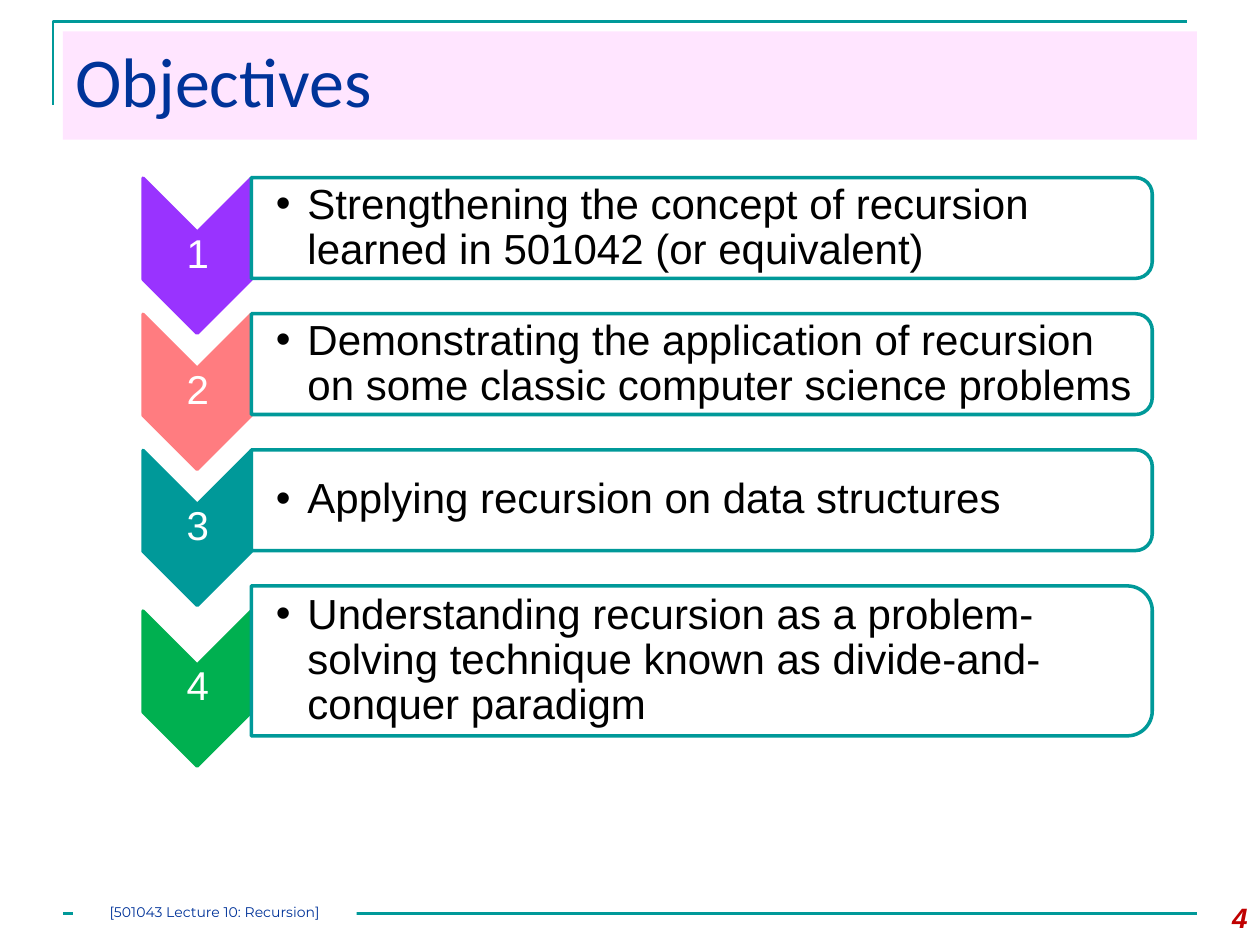
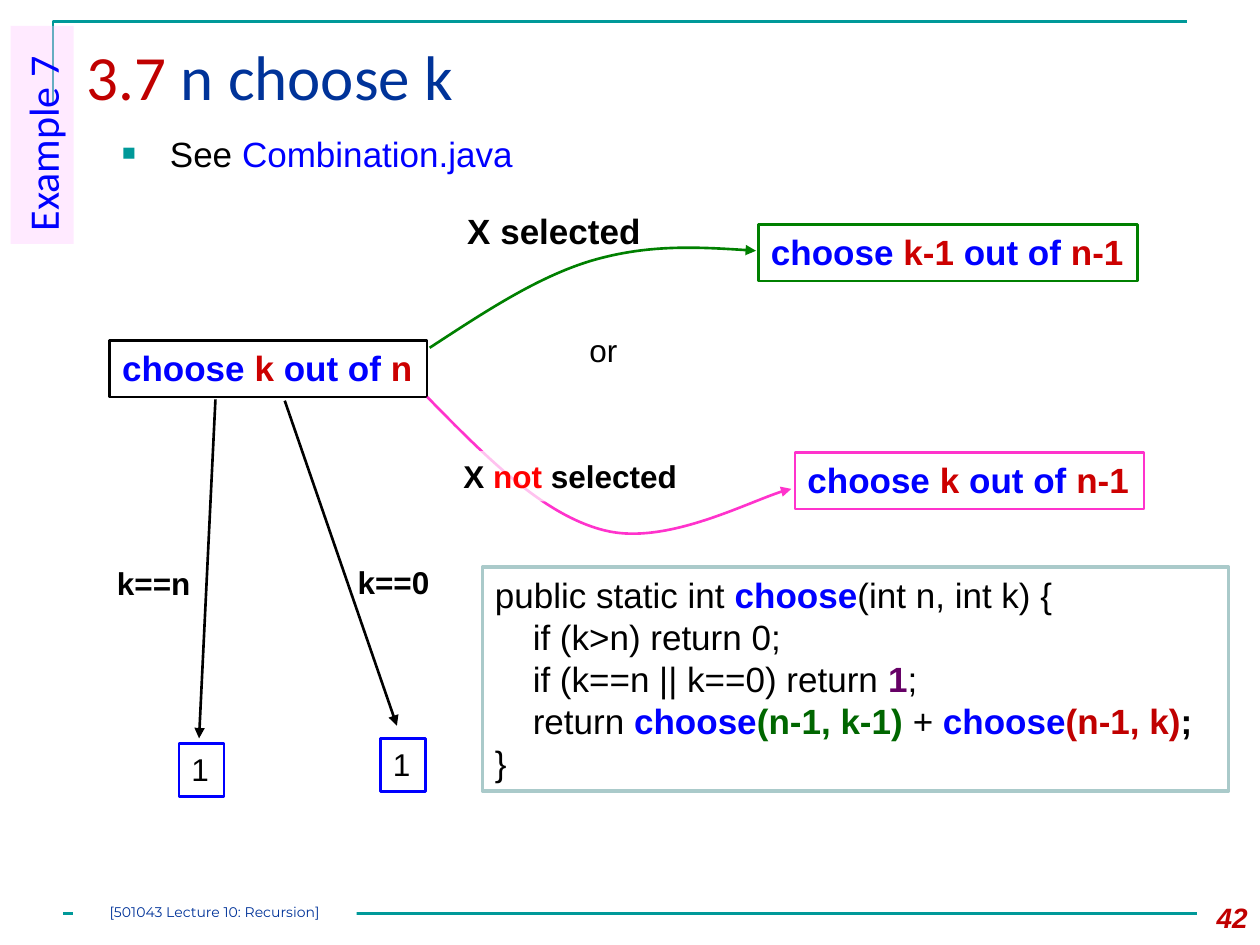
from lxml import etree
from pptx import Presentation
from pptx.dml.color import RGBColor
from pptx.enum.shapes import MSO_CONNECTOR, MSO_SHAPE
from pptx.enum.text import MSO_ANCHOR, PP_ALIGN
from pptx.oxml.ns import qn
from pptx.util import Inches, Pt

LEFT, CENTER, RIGHT = PP_ALIGN.LEFT, PP_ALIGN.CENTER, PP_ALIGN.RIGHT
TOP, MIDDLE = MSO_ANCHOR.TOP, MSO_ANCHOR.MIDDLE
RECTANGLE = MSO_SHAPE.RECTANGLE
CHEVRON = MSO_SHAPE.CHEVRON
ROUNDED_TOP = MSO_SHAPE.ROUND_2_SAME_RECTANGLE
STRAIGHT = MSO_CONNECTOR.STRAIGHT

BLACK = RGBColor(0x00, 0x00, 0x00)
WHITE = RGBColor(0xFF, 0xFF, 0xFF)
TEAL = RGBColor(0x00, 0x99, 0x99)
NAVY = RGBColor(0x00, 0x33, 0x99)
BLUE = RGBColor(0x00, 0x00, 0xFF)
CRIMSON = RGBColor(0xC0, 0x00, 0x00)
TERM_RED = RGBColor(0xCC, 0x00, 0x00)
RED = RGBColor(0xFF, 0x00, 0x00)
GREEN = RGBColor(0x00, 0x80, 0x00)
DARK_GREEN = RGBColor(0x00, 0x66, 0x00)
PURPLE = RGBColor(0x66, 0x00, 0x66)
PINK = RGBColor(0xFF, 0x33, 0xCC)
TITLE_PINK = RGBColor(0xFF, 0x99, 0xFF)
TAB_PINK = RGBColor(0xFF, 0xCC, 0xFF)
CODE_BORDER = RGBColor(0xAA, 0xCA, 0xCA)
VIOLET = RGBColor(0x99, 0x33, 0xFF)
CORAL = RGBColor(0xFF, 0x7C, 0x80)
LEAF = RGBColor(0x00, 0xB0, 0x50)


def add_box(slide, at, paragraphs=(), size=18, font="Arial", kind=RECTANGLE, fill=None,
            alpha=100, line=None, line_width=1.5, align=LEFT, anchor=TOP, wrap=False,
            inset=(0.1, 0.05, 0.1, 0.05), spacing=None, italic=False, rotation=0):
    """Add a box; each paragraph is a list of (text, colour, bold) runs."""
    place = [Inches(length) for length in at]
    if fill is None and line is None:
        shape = slide.shapes.add_textbox(*place)
    else:
        shape = slide.shapes.add_shape(kind, *place)
        shape.shadow.inherit = False
        if fill is None:
            shape.fill.background()
        else:
            shape.fill.solid()
            shape.fill.fore_color.rgb = fill
            if alpha < 100:
                color = shape.fill._xPr.find(qn("a:solidFill"))[0]
                etree.SubElement(color, qn("a:alpha"), val=str(alpha * 1000))
        if line is None:
            shape.line.fill.background()
        else:
            shape.line.color.rgb = line
            shape.line.width = Pt(line_width)
    shape.rotation = rotation

    frame = shape.text_frame
    frame.word_wrap = wrap
    frame.vertical_anchor = anchor
    frame.margin_left, frame.margin_top, frame.margin_right, frame.margin_bottom = map(Inches, inset)
    for index, runs in enumerate(paragraphs):
        paragraph = frame.add_paragraph() if index else frame.paragraphs[0]
        paragraph.alignment = align
        if spacing:
            paragraph.line_spacing = spacing
        for text, color, bold in runs:
            run = paragraph.add_run()
            run.text = text
            run.font.name = font
            run.font.size = Pt(size)
            run.font.bold = bold
            run.font.italic = italic
            run.font.color.rgb = color
    return shape


def style_line(shape, color, arrow=False):
    """Colour a line, drop its shadow and optionally end it with an arrowhead."""
    shape.line.color.rgb = color
    shape.line.width = Pt(1.5)
    properties = shape._element.spPr
    if arrow:
        etree.SubElement(properties.find(qn("a:ln")), qn("a:tailEnd"), type="triangle")
    if properties.find(qn("a:effectLst")) is None:
        etree.SubElement(properties, qn("a:effectLst"))


presentation = Presentation()
presentation.slide_width = Inches(10)
presentation.slide_height = Inches(7.5)

# Shared frame, footer and titles
titles = [
    (4, (0.5, 0.25, 9, 0.86), 40, TITLE_PINK, [("Objectives", NAVY, False)]),
    (42, (0.59, 0.25, 9.25, 0.86), 36, None, [("3.7 ", CRIMSON, False), ("n choose k", NAVY, False)]),
]
for number, place, size, band, runs in titles:
    slide = presentation.slides.add_slide(presentation.slide_layouts[6])
    builder = slide.shapes.build_freeform(Inches(0.42), Inches(0.83))
    builder.add_line_segments([(Inches(0.42), Inches(0.17)), (Inches(9.42), Inches(0.17))], close=False)
    corner = builder.convert_to_shape()
    corner.fill.background()
    corner.shadow.inherit = False
    style_line(corner, TEAL)
    rule = slide.shapes.add_connector(STRAIGHT, Inches(0.5), Inches(7.25), Inches(9.5), Inches(7.25))
    style_line(rule, TEAL)
    add_box(slide, place, [runs], size, "Calibri", fill=band, alpha=25, wrap=True)
    add_box(slide, (9.33, 7.1, 0.67, 0.4), [[(str(number), CRIMSON, True)]], 16,
            align=RIGHT, italic=True, wrap=True)
    add_box(slide, (0.58, 7.17, 2.25, 0.17), [[("[501043 Lecture 10: Recursion]", NAVY, False)]], 8,
            "Montserrat", fill=WHITE, align=CENTER, inset=(0, 0, 0, 0), wrap=True)

objectives_slide, choose_slide = presentation.slides

# Objectives: numbered chevrons beside rounded boxes
objectives = [
    (VIOLET, 0.8, "Strengthening the concept of recursion learned in 501042 (or equivalent)"),
    (CORAL, 0.8, "Demonstrating the application of recursion on some classic computer science problems"),
    (TEAL, 0.8, "Applying recursion on data structures"),
    (LEAF, 1.19, "Understanding recursion as a problem-solving technique known as divide-and-conquer paradigm"),
]
thin = 0.02
box_width = 7.15
row_top = 1.41
for number, (color, height, text) in enumerate(objectives, 1):
    middle = row_top + height / 2
    add_box(objectives_slide, (0.95, middle - 0.21, 1.23, 0.86), kind=CHEVRON,
            fill=color, line=color, line_width=2, rotation=90)
    add_box(objectives_slide, (1.14, middle + 0.03, 0.86, 0.37), [[(str(number), WHITE, False)]], 23,
            align=CENTER, anchor=MIDDLE, wrap=True, inset=(thin,) * 4, spacing=0.9)
    # Turned by 90 degrees, so width and height swap around the centre
    add_box(objectives_slide, (5.57 - height / 2, middle - box_width / 2, height, box_width),
            kind=ROUNDED_TOP, fill=WHITE, alpha=90, line=TEAL, line_width=2, rotation=90)
    label = add_box(objectives_slide, (2, row_top + 0.04, 7.11, height - 0.08), [[(text, BLACK, False)]], 24,
                    anchor=MIDDLE, wrap=True, inset=(0.19, thin, thin, thin), spacing=0.9)
    properties = label.text_frame.paragraphs[0]._p.get_or_add_pPr()
    properties.set("marL", str(Inches(0.25)))
    properties.set("indent", str(Inches(-0.25)))
    etree.SubElement(properties, qn("a:buFont"), typeface="Arial")
    etree.SubElement(properties, qn("a:buChar"), char="•")
    row_top += height + 0.28

# Choice boxes
choices = [
    ((0.87, 2.7, 2.52, 0.45), BLACK, "k ", "n"),
    ((6.02, 1.78, 3.01, 0.45), GREEN, "k-1 ", "n-1"),
    ((6.31, 3.59, 2.77, 0.45), PINK, "k ", "n-1"),
]
for place, border, chosen, total in choices:
    runs = [("choose ", BLUE, True), (chosen, TERM_RED, True), ("out of ", BLUE, True), (total, TERM_RED, True)]
    add_box(choose_slide, place, [runs], 20, line=border)
add_box(choose_slide, (3.61, 1.61, 1.8, 0.43), [[("X selected", BLACK, True)]], 20, wrap=True)

# Curved arrows: a start point, then three points for each Bezier segment
curves = [
    (GREEN, [(3.41, 2.76), (3.84, 2.48), (4.26, 2.2), (4.69, 2.07), (5.13, 1.94), (5.56, 1.96), (6, 1.99)]),
    (PINK, [(3.39, 3.15), (3.85, 3.62), (4.31, 4.09), (4.8, 4.21), (5.28, 4.33), (6.04, 3.93), (6.28, 3.88)]),
]
for color, points in curves:
    start, *controls = [(Inches(x), Inches(y)) for x, y in points]
    builder = choose_slide.shapes.build_freeform(*start)
    builder.add_line_segments(controls, close=False)
    curve = builder.convert_to_shape()
    curve.fill.background()
    curve.shadow.inherit = False
    segments = curve._element.xpath(".//a:lnTo")
    for first in range(0, len(segments), 3):
        bezier = etree.Element(qn("a:cubicBezTo"))
        segments[first].addprevious(bezier)
        for segment in segments[first:first + 3]:
            bezier.append(segment[0])
            segment.getparent().remove(segment)
    style_line(curve, color, arrow=True)

add_box(choose_slide, (3.58, 3.58, 1.9, 0.4),
        [[("X ", BLACK, True), ("not", RED, True), (" selected", BLACK, True)]], fill=WHITE, alpha=70)
add_box(choose_slide, (4.58, 2.58, 0.5, 0.5), [[("or", BLACK, False)]], wrap=True)

# Base cases: condition, arrow and result
base_cases = [
    ("k==0", (2.74, 4.42, 0.77, 0.4), (2.26, 3.18, 3.15, 5.76), (3.02, 5.86, 0.36, 0.42)),
    ("k==n", (0.83, 4.43, 0.79, 0.4), (1.71, 3.17, 1.58, 5.86), (1.42, 5.9, 0.36, 0.42)),
]
for condition, condition_place, ends, result_place in base_cases:
    add_box(choose_slide, condition_place, [[(condition, BLACK, True)]])
    arrow = choose_slide.shapes.add_connector(STRAIGHT, *[Inches(end) for end in ends])
    style_line(arrow, BLACK, arrow=True)
    add_box(choose_slide, result_place, [[("1", BLACK, False)]], line=BLUE)

# Code listing
code_lines = [
    [("public static int ", BLACK, False), ("choose", BLUE, True), ("(int n, int k) {", BLACK, False)],
    [("\tif (k>n) return 0;", BLACK, False)],
    [("\tif (k==n || k==0) return ", BLACK, False), ("1", PURPLE, True), (";", BLACK, False)],
    [("\treturn ", BLACK, False), ("choose", BLUE, True), ("(n-1, k-1) ", DARK_GREEN, True),
     ("+ ", BLACK, False), ("choose", BLUE, True), ("(n-1, k)", CRIMSON, True), (";", BLACK, True)],
    [("}", BLACK, False)],
]
code = add_box(choose_slide, (3.83, 4.5, 5.92, 1.78), code_lines, 20, fill=WHITE,
               line=CODE_BORDER, line_width=2, wrap=True)
for paragraph in code.text_frame.paragraphs:
    tabs = etree.SubElement(paragraph._p.get_or_add_pPr(), qn("a:tabLst"))
    for position in (0.3, 0.59, 0.89):
        etree.SubElement(tabs, qn("a:tab"), pos=str(Inches(position)), algn="l")

# Source file bullet
source = add_box(choose_slide, (0.87, 1, 6.72, 0.5),
                 [[("See ", BLACK, False), ("Combination.java", BLUE, False)]], 20, wrap=True)
properties = source.text_frame.paragraphs[0]._p.get_or_add_pPr()
properties.set("marL", str(Inches(0.38)))
properties.set("indent", str(Inches(-0.38)))
bullet_color = etree.SubElement(properties, qn("a:buClr"))
etree.SubElement(bullet_color, qn("a:srgbClr"), val=str(TEAL))
etree.SubElement(properties, qn("a:buSzPct"), val="65000")
etree.SubElement(properties, qn("a:buFont"), typeface="Arial")
etree.SubElement(properties, qn("a:buChar"), char="■")

# Side tab
add_box(choose_slide, (-0.53, 0.82, 1.73, 0.5), [[("Example 7", BLUE, False)]], 24, "Calibri",
        fill=TAB_PINK, alpha=40, wrap=True, rotation=270)

presentation.save("out.pptx")
